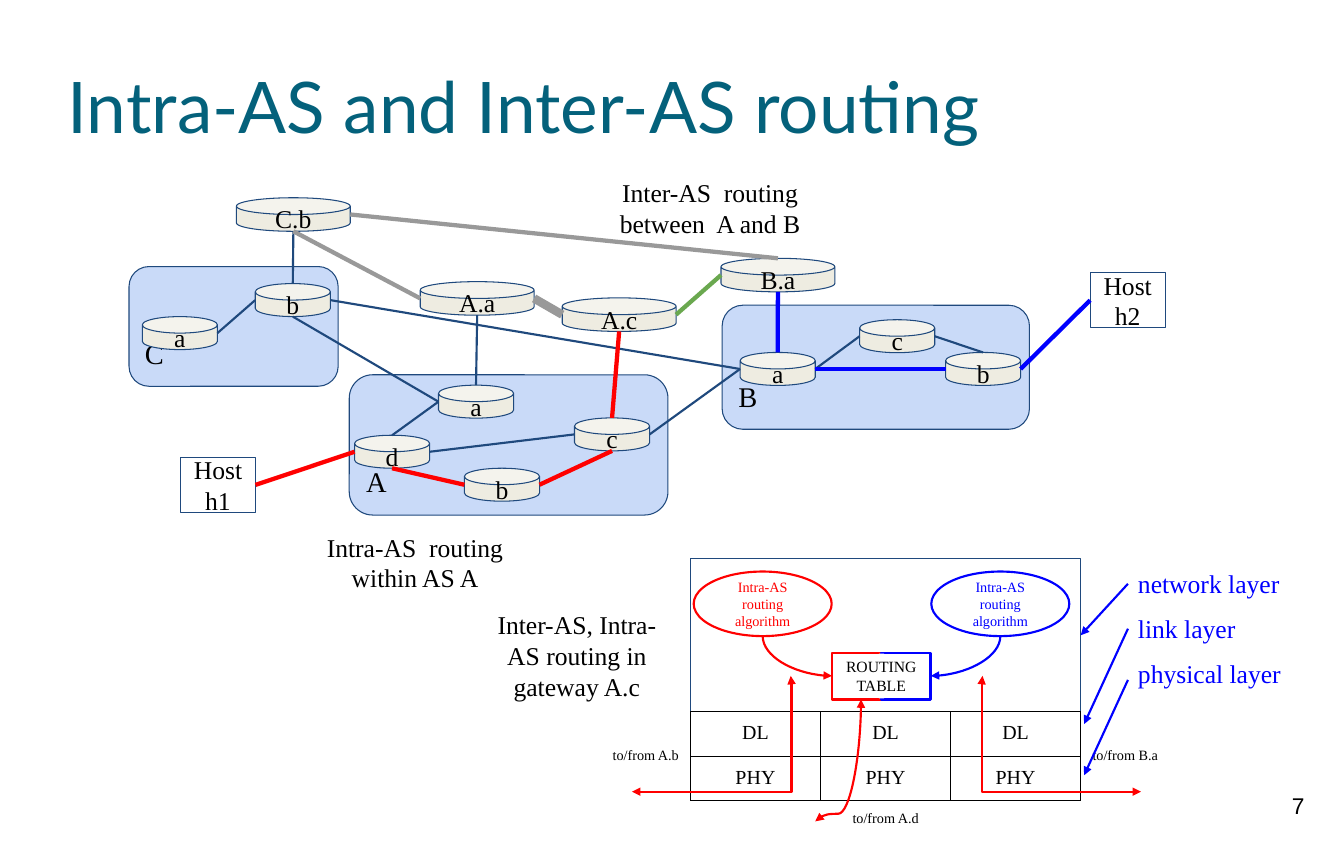
from pptx import Presentation
from pptx.dml.color import RGBColor
from pptx.enum.shapes import MSO_CONNECTOR, MSO_SHAPE
from pptx.enum.text import MSO_ANCHOR, PP_ALIGN
from pptx.oxml.ns import qn
from pptx.util import Pt
from lxml.etree import SubElement

BLACK = RGBColor(0x00, 0x00, 0x00)
WHITE = RGBColor(0xFF, 0xFF, 0xFF)
NAVY = RGBColor(0x1F, 0x49, 0x7D)
TEAL = RGBColor(0x04, 0x61, 0x7B)
SKY = RGBColor(0xC9, 0xDA, 0xF8)
CREAM = RGBColor(0xEE, 0xEC, 0xE1)
RED = RGBColor(0xFF, 0x00, 0x00)
BLUE = RGBColor(0x00, 0x00, 0xFF)
GREEN = RGBColor(0x6A, 0xA8, 0x4F)
GRAY = RGBColor(0x99, 0x99, 0x99)

prs = Presentation()
prs.slide_width, prs.slide_height = Pt(944.64), Pt(595.44)
s = prs.slides.add_slide(prs.slide_layouts[6])


def add_box(box, text="", size=18, color=BLACK, kind=None, fill=None, line=None, width=0.75,
            align=PP_ALIGN.CENTER, anchor=MSO_ANCHOR.MIDDLE, font="Times New Roman", inset=7.2):
    place = [Pt(v) for v in box]
    if kind is None:
        sp = s.shapes.add_textbox(*place)
    else:
        sp = s.shapes.add_shape(kind, *place)
        sp.shadow.inherit = False
        if fill is None:
            sp.fill.background()
        else:
            sp.fill.solid()
            sp.fill.fore_color.rgb = fill
        if line is None:
            sp.line.fill.background()
        else:
            sp.line.color.rgb = line
            sp.line.width = Pt(width)
    tf = sp.text_frame
    tf.word_wrap = True
    tf.vertical_anchor = anchor
    tf.margin_left = tf.margin_right = tf.margin_top = tf.margin_bottom = Pt(inset)
    tf.text = text
    for p in tf.paragraphs:
        p.alignment = align
        for r in p.runs:
            r.font.size = Pt(size)
            r.font.name = font
            r.font.color.rgb = color
    return sp


def add_line(start, end, color=NAVY, width=1.5, kind=MSO_CONNECTOR.STRAIGHT, arrows=()):
    c = s.shapes.add_connector(kind, *[Pt(v) for v in (*start, *end)])
    c.line.color.rgb = color
    c.line.width = Pt(width)
    spPr = c._element.spPr
    for name in arrows:
        SubElement(spPr.find(qn("a:ln")), qn("a:" + name), type="triangle")
    SubElement(spPr, qn("a:effectLst"))
    return spPr


add_box((884, 549.4, 57, 45), "7", 16, font="Arial", anchor=MSO_ANCHOR.TOP)
add_box((47.5, 23.8, 850, 99.4), "Intra-AS and Inter-AS routing", 50, TEAL,
        align=PP_ALIGN.LEFT, font="Lato", inset=0)
add_box((485.3, 392.4, 274.3, 108), kind=MSO_SHAPE.RECTANGLE, line=NAVY)

for name, box in [("B", (507.6, 214.6, 216, 87.2)), ("A", (245.5, 263.5, 224, 98.6)),
                  ("C", (90.7, 187.4, 147, 84.2))]:
    add_box(box, name, 20, kind=MSO_SHAPE.ROUNDED_RECTANGLE, fill=SKY, line=NAVY,
            align=PP_ALIGN.LEFT, anchor=MSO_ANCHOR.BOTTOM)

ROUTER = (52.8, 23.2)
GATEWAY = (80, 23.6)
HOST = (52.8, 39)
nodes = {
    "C/b": ("b", 179.4, 199.4, ROUTER), "C/a": ("a", 100, 222.6, ROUTER),
    "A/a": ("a", 308.2, 270.8, ROUTER), "A/b": ("b", 326.4, 329.2, ROUTER),
    "A/c": ("c", 403.8, 293.8, ROUTER), "A/d": ("d", 249.2, 306, ROUTER),
    "B/a": ("a", 520.2, 247.8, ROUTER), "B/b": ("b", 664.6, 247.8, ROUTER),
    "B/c": ("c", 604.2, 224.8, ROUTER),
    "A.a": ("A.a", 295.4, 198, GATEWAY), "A.c": ("A.c", 395.2, 209.4, GATEWAY),
    "B.a": ("B.a", 506.8, 181.6, GATEWAY), "C.b": ("C.b", 166.2, 139, GATEWAY),
    "h1": ("Host\vh1", 126.8, 321.4, HOST), "h2": ("Host\vh2", 766.2, 191.6, HOST),
}
sides = {}
for name, (label, x, y, (w, h)) in nodes.items():
    if (w, h) == HOST:
        add_box((x, y, w, h), label, kind=MSO_SHAPE.RECTANGLE, line=NAVY)
    else:
        sp = add_box((x, y, w, h), label, kind=MSO_SHAPE.CAN, fill=CREAM, line=NAVY)
        sp.adjustments[0] = 0.5
    sides[name] = {"left": (x, y + h / 2), "right": (x + w, y + h / 2),
                   "top": (x + w / 2, y), "bottom": (x + w / 2, y + h)}

links = [
    (NAVY, 1.5, [("C/b", "left", "C/a", "right"), ("A/a", "left", "A/d", "top"),
                 ("A/d", "right", "A/c", "left"), ("C/b", "bottom", "A/a", "left"),
                 ("B/c", "left", "B/a", "right"), ("B/c", "right", "B/b", "top"),
                 ("C/b", "right", "B/a", "left"), ("A/c", "right", "B/a", "left"),
                 ("C/b", "top", "C.b", "bottom"), ("A/a", "top", "A.a", "bottom")]),
    (GRAY, 3, [("C.b", "bottom", "A.a", "left"), ("C.b", "right", "B.a", "top")]),
    (GRAY, 6, [("A.a", "right", "A.c", "left")]),
    (RED, 3, [("A/d", "left", "h1", "right"), ("A/d", "bottom", "A/b", "left"),
              ("A/b", "right", "A/c", "bottom"), ("A/c", "top", "A.c", "bottom")]),
    (GREEN, 3, [("A.c", "right", "B.a", "left")]),
    (BLUE, 3, [("B.a", "bottom", "B/a", "top"), ("B/a", "right", "B/b", "left"),
               ("B/b", "right", "h2", "left")]),
]
for color, width, group in links:
    for a, side_a, b, side_b in group:
        add_line(sides[a][side_a], sides[b][side_b], color, width)

for text, size, box in [
    ("Inter-AS  routing between  A and B", 18, (425.6, 117.4, 147, 58)),
    ("Intra-AS  routing within AS A", 18, (218.2, 366.5, 147, 58)),
    ("Inter-AS, Intra-AS routing in gateway A.c", 18, (332, 421.2, 147, 80)),
    ("to/from A.b", 10, (422.6, 518.4, 62.6, 26.6)),
    ("to/from B.a", 10, (759.6, 518.4, 62.6, 26.6)),
    ("to/from A.d", 10, (591.2, 563, 62.6, 26.6)),
]:
    add_box(box, text, size, anchor=MSO_ANCHOR.TOP)

for color, oval_x, half_x, edge_x in [(RED, 487.6, 584.8, 584.8), (BLUE, 654.6, 619.4, 654.2)]:
    add_box((oval_x, 401.8, 97, 45.4), "Intra-AS routing algorithm", 10, color,
            kind=MSO_SHAPE.OVAL, line=color, width=1.5)
    add_box((half_x, 458.8, 34.7, 33), kind=MSO_SHAPE.RECTANGLE, line=color, width=1.5)
    spPr = add_line((edge_x, 475.2), (oval_x + 48.5, 447.2), color,
                    kind=MSO_CONNECTOR.CURVE, arrows=["headEnd"])
    spPr.find(qn("a:prstGeom")).set("prst", "curvedConnector2")
add_box((617.8, 459.6, 3.6, 31.4), kind=MSO_SHAPE.RECTANGLE, fill=WHITE)
add_box((584.8, 458.8, 69.4, 33), "ROUTING\vTABLE", 11)

table = s.shapes.add_table(2, 3, Pt(485.3), Pt(500.4), Pt(274.3), Pt(62.6)).table
table.first_row = table.horz_banding = False
for row, text in zip(table.rows, ["DL", "PHY"]):
    row.height = Pt(31.3)
    for cell in row.cells:
        cell.margin_left = cell.margin_right = cell.margin_top = cell.margin_bottom = Pt(7.2)
        cell.text = text
        p = cell.text_frame.paragraphs[0]
        p.alignment = PP_ALIGN.CENTER
        r = p.runs[0]
        r.font.size = Pt(14)
        r.font.name = "Times New Roman"
        r.font.color.rgb = BLACK
        tcPr = cell._tc.get_or_add_tcPr()
        for edge in ("lnL", "lnR", "lnT", "lnB"):
            ln = SubElement(tcPr, qn("a:" + edge), w=str(Pt(0.75)))
            SubElement(SubElement(ln, qn("a:solidFill")), qn("a:srgbClr"), val=str(BLACK))
        cell.fill.background()

BOTH = ["headEnd", "tailEnd"]
for kind, start, end, adjust, turn in [
    (MSO_CONNECTOR.ELBOW, (802, 556.6), (690.6, 475.2), 100500, 0),
    (MSO_CONNECTOR.ELBOW, (444.2, 556.6), (555.8, 475.2), 100500, 0),
    (MSO_CONNECTOR.CURVE, (546.2, 518.4), (632, 550.6), 93800, 90),
]:
    spPr = add_line(start, end, RED, kind=kind, arrows=BOTH)
    spPr.find(qn("a:xfrm")).set("rot", str(turn * 60000))
    avLst = spPr.find(qn("a:prstGeom")).find(qn("a:avLst"))
    SubElement(avLst, qn("a:gd"), name="adj1", fmla=f"val {adjust}")

for i, (text, start_y, end) in enumerate([
    ("network layer", 410.4, (759.6, 446.6)),
    ("link layer", 442, (762, 509)),
    ("physical layer", 478, (762, 545)),
]):
    add_box((792.8, 392.4 + 31.4 * i, 147, 36), text, 18, BLUE,
            align=PP_ALIGN.LEFT, anchor=MSO_ANCHOR.TOP)
    add_line((792.8, start_y), end, BLUE, arrows=["tailEnd"])

prs.save("out.pptx")
